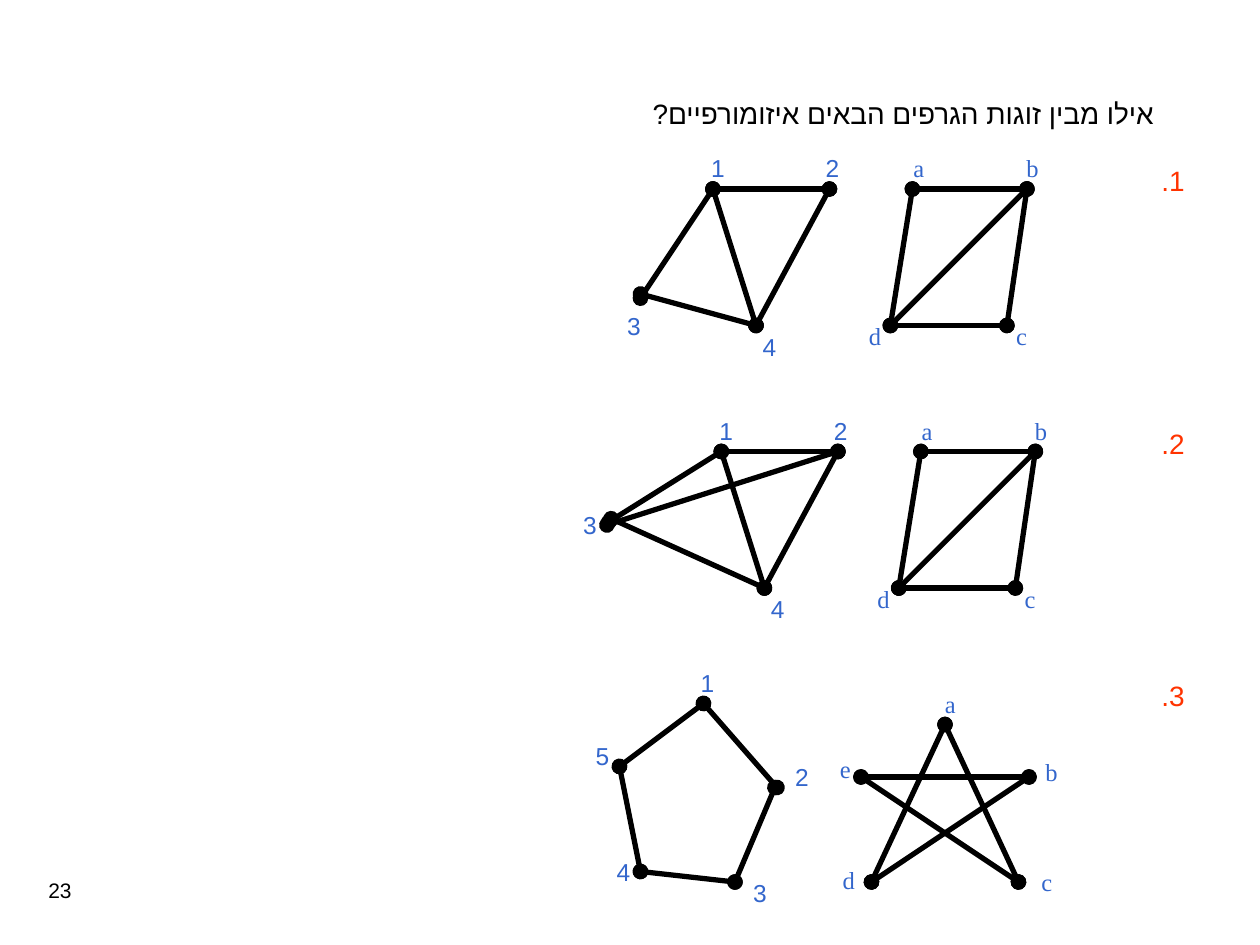
import pptx
import pptx.util
import pptx.dml.color
import pptx.enum.shapes
import pptx.enum.text
import pptx.oxml.ns
from lxml import etree

PX = 7620  # EMU per px, 120 px to the inch
INK, BLUE, RED = "000000", "3366CC", "FF3300"

# Each node: end point x, y, then label x, y if it is named
RHOMB = {"a": (329, 40, 310, 0), "b": (438, 40, 419, 0),
         "c": (419, 170, 408, 160), "d": (308, 170, 269, 160)}
BASE = {"1": (139, 40, 120, 0), "2": (250, 40, 229, 0),
        "4": (180, 170, 169, 170)}
# p and q are the ends that lie just beside node 3
KITE = {**BASE, "3": (70, 144, 40, 150), "p": (70, 140)}
FULL = {**BASE, "3": (30, 110, -10, 90), "p": (32, 107), "q": (34, 104)}
STAR = {"a": (360, 60, 340, 20), "b": (440, 110, 437, 85),
        "c": (430, 210, 432, 190), "d": (290, 210, 244, 188),
        "e": (280, 110, 240, 82)}
PENTA = {"1": (130, 40, 110, 0), "2": (200, 120, 200, 90),
         "3": (160, 210, 160, 200), "4": (70, 200, 30, 180),
         "5": (50, 100, 10, 70), "p": (198, 120)}


def px(n):
    return pptx.util.Emu(n * PX)


def color(code):
    return pptx.dml.color.RGBColor.from_string(code)


def sub(node, tag, **attrs):
    return etree.SubElement(node, pptx.oxml.ns.qn(tag), attrs)


def text(slide, box, words, size, ink, font="Times New Roman", rtl=True):
    shape = slide.shapes.add_textbox(*map(px, box))
    frame = shape.text_frame
    frame.word_wrap = True
    para = frame.paragraphs[0]
    para.alignment = pptx.enum.text.PP_ALIGN.RIGHT
    run = para.add_run()
    run.text = words
    run.font.size = pptx.util.Pt(size)
    run.font.name = font
    run.font.color.rgb = color(ink)
    if rtl:
        frame.auto_size = pptx.enum.text.MSO_AUTO_SIZE.SHAPE_TO_FIT_TEXT
        para._p.get_or_add_pPr().set("rtl", "1")
        props = run.font._element
        props.set("lang", "he-IL")
        sub(props, "a:cs", typeface="Arial")


def edge(slide, start, end):
    line = slide.shapes.add_connector(
        pptx.enum.shapes.MSO_CONNECTOR.STRAIGHT, *map(px, start + end))
    line.line.width = pptx.util.Pt(3)
    line.line.color.rgb = color(INK)
    stroke = line.line._get_or_add_ln()
    sub(stroke, "a:headEnd", type="oval")
    sub(stroke, "a:tailEnd", type="oval")
    sub(line._element.spPr, "a:effectLst")


def graph(slide, left, top, nodes, edges):
    for pair in edges.split():
        start, end = [(left + nodes[n][0], top + nodes[n][1]) for n in pair]
        edge(slide, start, end)
    for name, spot in nodes.items():
        if len(spot) == 4:
            box = (left + spot[2], top + spot[3], 42, 40)
            text(slide, box, name, 14, BLUE)


def row(slide, top, num, shift, graphs):
    left = 540
    for nodes, edges in graphs:
        graph(slide, left + shift, top, nodes, edges)
    text(slide, (left + 550, top + 10, 50, 44), f"{num}.", 16, RED)


def main():
    deck = pptx.Presentation()
    deck.slide_width, deck.slide_height = px(1200), px(900)
    slide = deck.slides.add_slide(deck.slide_layouts[6])

    # Page number and question
    text(slide, (0, 830, 80, 60), "23", 12, INK, "Arial", False)
    text(slide, (340, 86, 771, 44),
         "אילו מבין זוגות הגרפים הבאים איזומורפיים?", 16, INK)

    # Pairs of graphs
    rhomb = (RHOMB, "ab da dc cb db")
    row(slide, 140, 1, 0, [(KITE, "12 14 42 13 p4"), rhomb])
    row(slide, 390, 2, 8, [(FULL, "12 32 42 1p q4 14"), rhomb])
    row(slide, 630, 3, 0, [(PENTA, "43 51 p3 54 12"),
                           (STAR, "ac eb ec db da")])

    deck.save("out.pptx")


if __name__ == "__main__":
    main()
